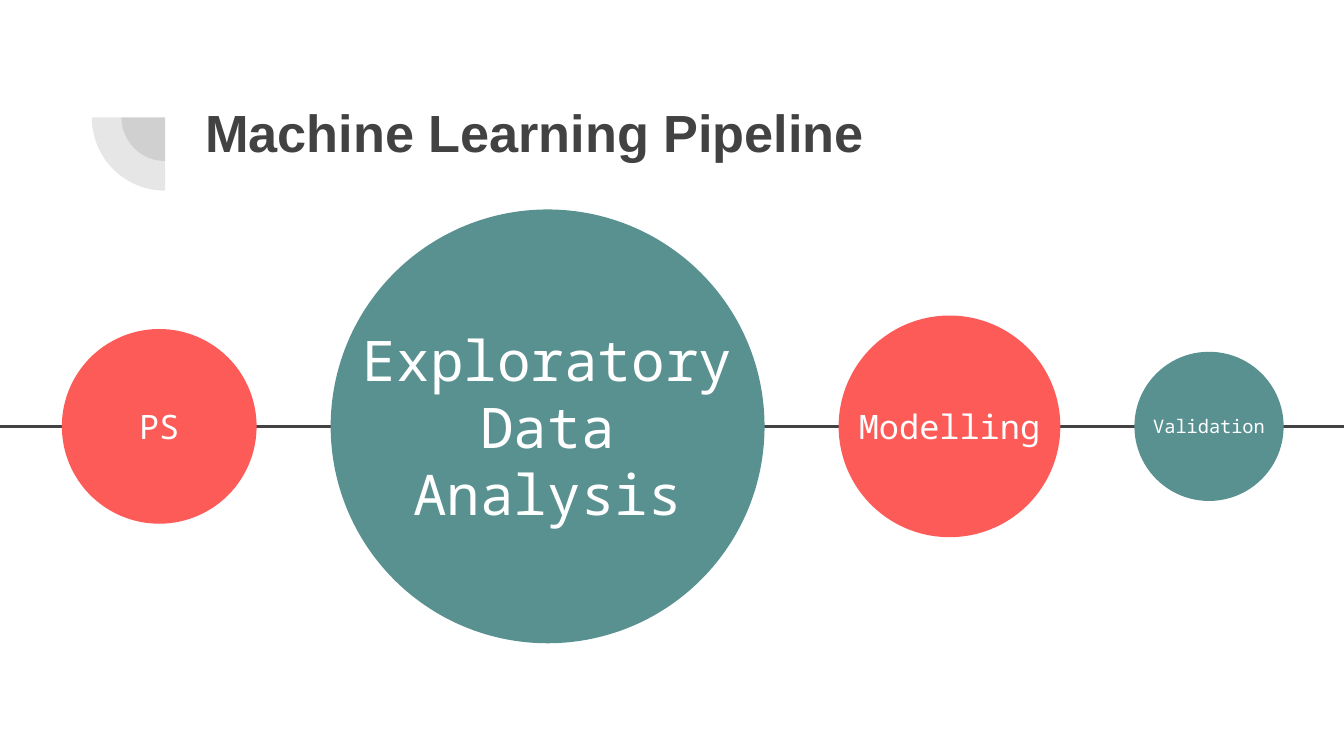
from lxml import etree
from pptx import Presentation
from pptx.dml.color import RGBColor
from pptx.enum.shapes import MSO_CONNECTOR, MSO_SHAPE
from pptx.enum.text import MSO_ANCHOR, MSO_AUTO_SIZE, PP_ALIGN
from pptx.oxml.ns import qn
from pptx.util import Cm, Pt

STRAIGHT = MSO_CONNECTOR.STRAIGHT
PIE, OVAL = MSO_SHAPE.PIE, MSO_SHAPE.OVAL
TOP, MIDDLE = MSO_ANCHOR.TOP, MSO_ANCHOR.MIDDLE
LEFT, CENTER = PP_ALIGN.LEFT, PP_ALIGN.CENTER
NO_AUTOFIT = MSO_AUTO_SIZE.NONE

TITLE = "Machine Learning Pipeline"
DARK, WHITE, CORAL, TEAL = "424242", "FFFFFF", "FD5B58", "599191"
STAGES = [
    ("PS", 3.68, CORAL, 18),
    ("Exploratory Data Analysis", 8.2, TEAL, 30),
    ("Modelling", 4.19, CORAL, 18),
    ("Validation", 2.82, TEAL, 10),
]

SLIDE_WIDTH, SLIDE_HEIGHT = 25.4, 14.29
AXIS_Y = 8.06
FIRST_STAGE_X, STAGE_GAP = 1.17, 1.4
LABEL_HEIGHT = 1.68
CORNER_X, CORNER_Y = 3.12, 2.22
CORNER_DIAMETERS = (1.65, 2.77)
CORNER_OPACITY = 13
QUARTER_ANGLES = (54, 108)


def color(hex_code):
    return RGBColor.from_string(hex_code)


def add_disc(slide, kind, center_x, center_y, diameter, fill):
    disc = slide.shapes.add_shape(
        kind, Cm(center_x - diameter / 2), Cm(center_y - diameter / 2),
        Cm(diameter), Cm(diameter))
    disc.shadow.inherit = False
    disc.fill.solid()
    disc.fill.fore_color.rgb = color(fill)
    disc.line.fill.background()
    return disc


def write(frame, text, size, font_name, text_color, anchor, align, bold=False):
    frame.text = text
    frame.word_wrap = True
    frame.auto_size = NO_AUTOFIT
    frame.vertical_anchor = anchor
    frame.margin_left = frame.margin_right = Cm(0.25)
    frame.margin_top = frame.margin_bottom = Cm(0.25)
    paragraph = frame.paragraphs[0]
    paragraph.alignment = align
    font = paragraph.runs[0].font
    font.name, font.size, font.bold = font_name, Pt(size), bold
    font.color.rgb = color(text_color)


def add_corner(slide):
    for diameter in CORNER_DIAMETERS:
        quarter = add_disc(slide, PIE, CORNER_X, CORNER_Y, diameter, DARK)
        for index, angle in enumerate(QUARTER_ANGLES):
            quarter.adjustments[index] = angle
        tint = next(quarter.element.spPr.iter(qn("a:srgbClr")))
        etree.SubElement(tint, qn("a:alpha"), val=str(CORNER_OPACITY * 1000))


def add_axis(slide):
    axis = slide.shapes.add_connector(
        STRAIGHT, Cm(0), Cm(AXIS_Y), Cm(SLIDE_WIDTH), Cm(AXIS_Y))
    axis.line.color.rgb = color(DARK)
    axis.line.width = Pt(1.5)
    etree.SubElement(axis.element.spPr, qn("a:effectLst"))


def add_title(slide):
    title = slide.shapes.title
    title.left, title.top = Cm(3.63), Cm(1.65)
    title.width, title.height = Cm(19.53), Cm(2.77)
    write(title.text_frame, TITLE, 28, "Arial", DARK, TOP, LEFT, bold=True)


def add_stages(slide):
    x = FIRST_STAGE_X
    for name, diameter, fill, size in STAGES:
        add_disc(slide, OVAL, x + diameter / 2, AXIS_Y, diameter, fill)
        label = slide.shapes.add_textbox(
            Cm(x), Cm(AXIS_Y - LABEL_HEIGHT / 2), Cm(diameter), Cm(LABEL_HEIGHT))
        write(label.text_frame, name, size, "Noto Sans Mono", WHITE, MIDDLE, CENTER)
        x += diameter + STAGE_GAP


def main():
    """Build the machine learning pipeline slide."""
    deck = Presentation()
    deck.slide_width, deck.slide_height = Cm(SLIDE_WIDTH), Cm(SLIDE_HEIGHT)
    slide = deck.slides.add_slide(deck.slide_layouts.get_by_name("Title Only"))
    add_corner(slide)
    add_axis(slide)
    add_title(slide)
    add_stages(slide)
    deck.save("out.pptx")


if __name__ == "__main__":
    main()
